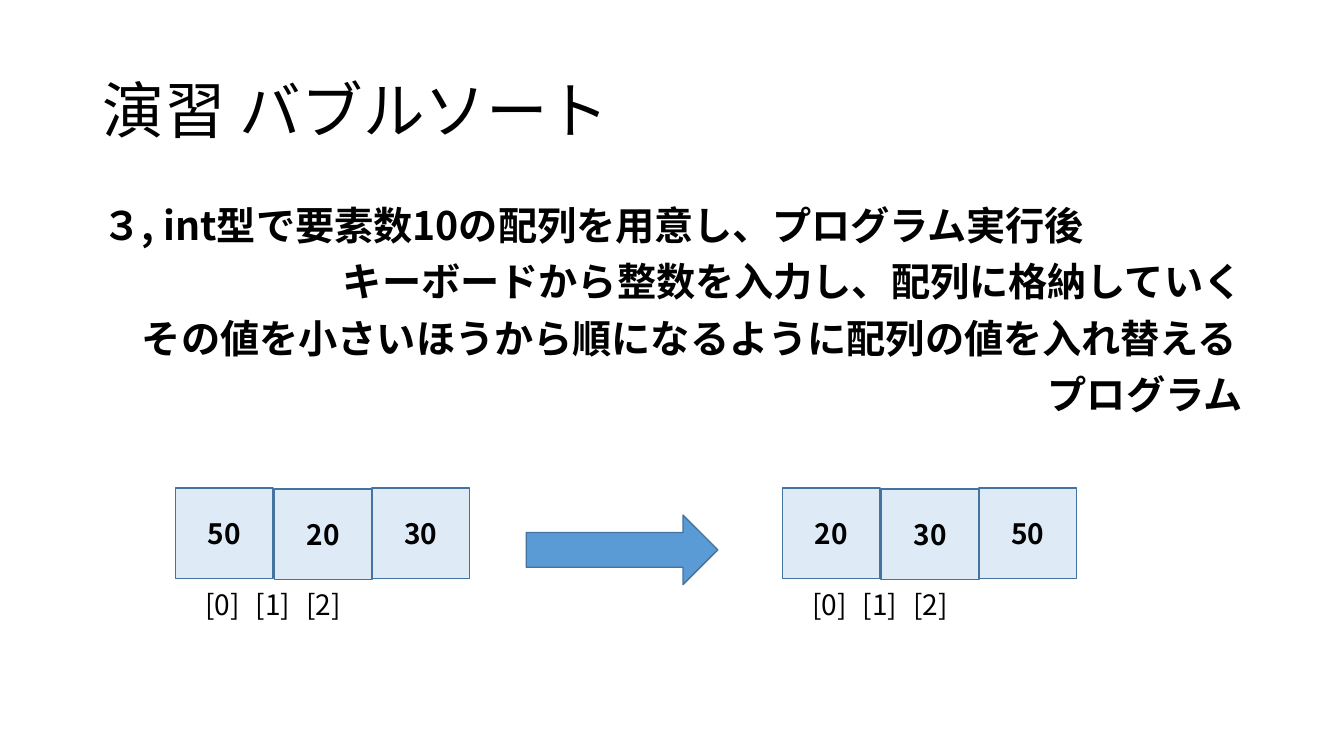
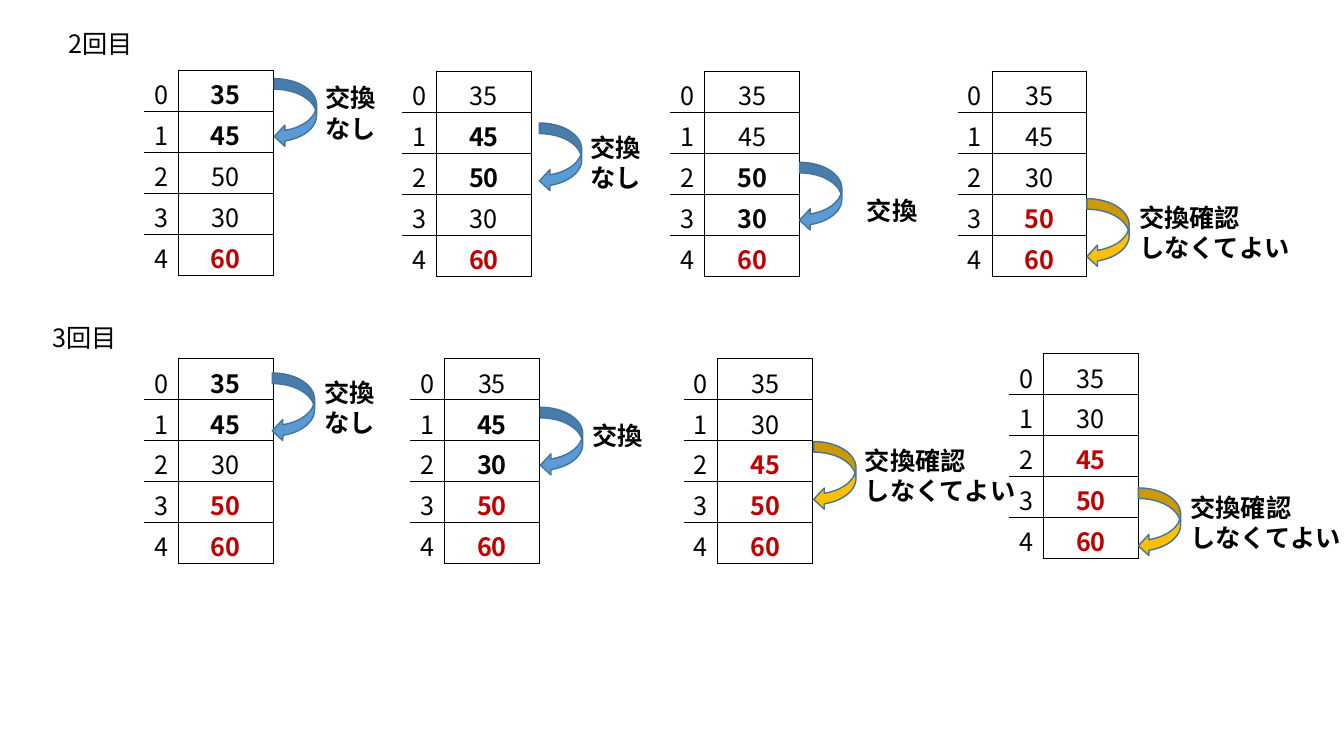
from typing import NamedTuple, Optional

from lxml.etree import SubElement
from pptx import Presentation
from pptx.dml.color import RGBColor
from pptx.enum.shapes import MSO_SHAPE as Preset
from pptx.enum.text import MSO_ANCHOR as Anchor, MSO_AUTO_SIZE as AutoSize, PP_ALIGN as Align
from pptx.oxml.ns import qn
from pptx.util import Pt

PX = 9144
FONT = "Noto Sans CJK JP"
BLACK, RED = "000000", "C00000"
BLUE, PALE, GOLD, OUTLINE = "5B9BD5", "DEEBF7", "FFC000", "43739E"
TITLE_ONLY, BLANK = 5, 6


class Stage(NamedTuple):
    """One state of the array, with the pair compared and its note."""

    table: tuple
    arrow: tuple
    note: tuple
    text: str
    values: tuple
    pair: Optional[int]
    fixed: int


SKIP = "交換確認\nしなくてよい"
PASSES = [
    ("2回目", (58, 23), [
        Stage((143, 70), (272, 78), (313, 77), "交換なし", (35, 45, 50, 30, 60), 0, 1),
        Stage((399, 71), (535, 122), (576, 126), "交換なし", (35, 45, 50, 30, 60), 1, 1),
        Stage((665, 71), (793, 161), (850, 189), "交換", (35, 45, 50, 30, 60), 2, 1),
        Stage((950, 71), (1078, 197), (1120, 196), SKIP, (35, 45, 30, 50, 60), None, 2),
    ]),
    ("3回目", (42, 315), [
        Stage((143, 356), (270, 370), (312, 369), "交換なし", (35, 45, 30, 50, 60), 0, 2),
        Stage((407, 356), (536, 404), (578, 412), "交換", (35, 45, 30, 50, 60), 1, 2),
        Stage((678, 356), (807, 438), (848, 437), SKIP, (35, 30, 45, 50, 60), None, 3),
        Stage((1001, 351), (1129, 484), (1171, 483), SKIP, (35, 30, 45, 50, 60), None, 3),
    ]),
]


def rgb(code):
    """Turn a hex string into a colour."""
    return RGBColor.from_string(code)


def emu(*lengths):
    """Turn px lengths into EMU."""
    return [length * PX for length in lengths]


def write(para, text, size=18, bold=False, color=BLACK, align=Align.LEFT,
          spacing=1.0, before=0, indent=0):
    """Add formatted text to a paragraph."""
    para.alignment = align
    para.line_spacing = spacing
    para.space_before = Pt(before)
    if indent:
        para._p.get_or_add_pPr().set("marL", str(indent * PX))
    span = para.add_run()
    span.text = text
    span.font.size, span.font.bold, span.font.name = Pt(size), bold, FONT
    span.font.color.rgb = rgb(color)
    SubElement(span._r.get_or_add_rPr(), qn("a:ea"), typeface=FONT)


def border(cell, sides):
    """Draw black lines on the named sides of a cell and none on the others."""
    props = cell._tc.get_or_add_tcPr()
    for side in "LRTB":
        line = SubElement(props, qn(f"a:ln{side}"), w=str(Pt(1)))
        if side in sides:
            fill = SubElement(line, qn("a:solidFill"))
            SubElement(fill, qn("a:srgbClr"), val=BLACK)
        else:
            SubElement(line, qn("a:noFill"))


class Builder:
    """Holds the deck, its style and the current page."""

    def __init__(self):
        """Start an empty wide deck."""
        self.deck = Presentation()
        self.deck.slide_width, self.deck.slide_height = emu(1333, 750)
        self.page = None

    def add_page(self, layout):
        """Begin a page on the given layout."""
        self.page = self.deck.slides.add_slide(self.deck.slide_layouts[layout])

    def title(self, text):
        """Place and fill the title placeholder."""
        box = self.page.shapes.title
        box.left, box.top, box.width, box.height = emu(92, 40, 1150, 145)
        box.text_frame.vertical_anchor = Anchor.MIDDLE
        box.text_frame.auto_size = AutoSize.NONE
        write(box.text_frame.paragraphs[0], text, size=44, spacing=0.9)

    def text(self, x, y, width, height, lines, **style):
        """Add a wrapped text box with one paragraph for each line and its format."""
        frame = self.page.shapes.add_textbox(*emu(x, y, width, height)).text_frame
        frame.word_wrap = True
        for index, (line, extra) in enumerate(lines):
            para = frame.add_paragraph() if index else frame.paragraphs[0]
            write(para, line, **style, **extra)

    def shape(self, preset, x, y, width, height, fill, text=""):
        """Add an outlined preset shape, with centred bold text if any."""
        box = self.page.shapes.add_shape(preset, *emu(x, y, width, height))
        box.shadow.inherit = False
        box.fill.solid()
        box.fill.fore_color.rgb = rgb(fill)
        box.line.color.rgb = rgb(OUTLINE)
        box.line.width = Pt(1)
        if text:
            box.text_frame.vertical_anchor = Anchor.MIDDLE
            write(box.text_frame.paragraphs[0], text, size=20, bold=True, align=Align.CENTER)

    def array_row(self, x, values):
        """Draw a horizontal array with its indices."""
        for index, (offset, value) in enumerate(zip((0, 98, 195), values)):
            self.shape(Preset.RECTANGLE, x + offset, 484 + index % 2, 97, 90, PALE, str(value))
        self.text(x + 20, 578, 272, 44, [("[0]\t[1]\t[2]", {})], size=20)

    def array_table(self, stage):
        """Draw a vertical array with an index column."""
        count = len(stage.values)
        frame = self.page.shapes.add_table(count, 2, *emu(*stage.table, 128, 41 * count))
        table = frame.table
        table.first_row = table.horz_banding = False
        table.columns[0].width, table.columns[1].width = emu(34, 94)
        for index, value in enumerate(stage.values):
            table.rows[index].height = 203 * PX // count
            fixed = index >= count - stage.fixed
            active = stage.pair is not None and index in (stage.pair, stage.pair + 1)
            label, item = table.cell(index, 0), table.cell(index, 1)
            write(label.text_frame.paragraphs[0], str(index))
            write(item.text_frame.paragraphs[0], str(value), bold=fixed or active,
                  color=RED if fixed else BLACK, align=Align.CENTER)
            border(label, "R" + "T" * (index > 0) + "B" * (index < count - 1))
            border(item, "LRTB")
            for cell in (label, item):
                cell.fill.background()

    def stage(self, stage):
        """Draw an array with its swap arrow and note."""
        self.array_table(stage)
        skipped = stage.pair is None
        self.shape(Preset.CURVED_LEFT_ARROW, *stage.arrow, 42, 68, GOLD if skipped else BLUE)
        lines = [(line, {}) for line in stage.text.split("\n")]
        height = 40 if stage.text == "交換" else 71
        self.text(*stage.note, 196 if skipped else 76, height, lines, bold=True)


def main():
    """Build and save the deck."""
    builder = Builder()
    builder.add_page(TITLE_ONLY)
    builder.title("演習 バブルソート")
    builder.text(92, 200, 1150, 476, [
        ("３, int型で要素数10の配列を用意し、プログラム実行後", {}),
        ("キーボードから整数を入力し、配列に格納していく", {"align": Align.RIGHT}),
        ("その値を小さいほうから順になるように配列の値を入れ替える", {"indent": 39}),
        ("プログラム", {"align": Align.RIGHT}),
    ], size=28, bold=True, spacing=0.9, before=10)
    builder.array_row(174, (50, 20, 30))
    builder.shape(Preset.RIGHT_ARROW, 522, 511, 190, 69, BLUE)
    builder.array_row(776, (20, 30, 50))

    builder.add_page(BLANK)
    for name, place, stages in PASSES:
        builder.text(*place, 101, 42, [(name, {})])
        for stage in stages:
            builder.stage(stage)
    builder.deck.save("out.pptx")


if __name__ == "__main__":
    main()
